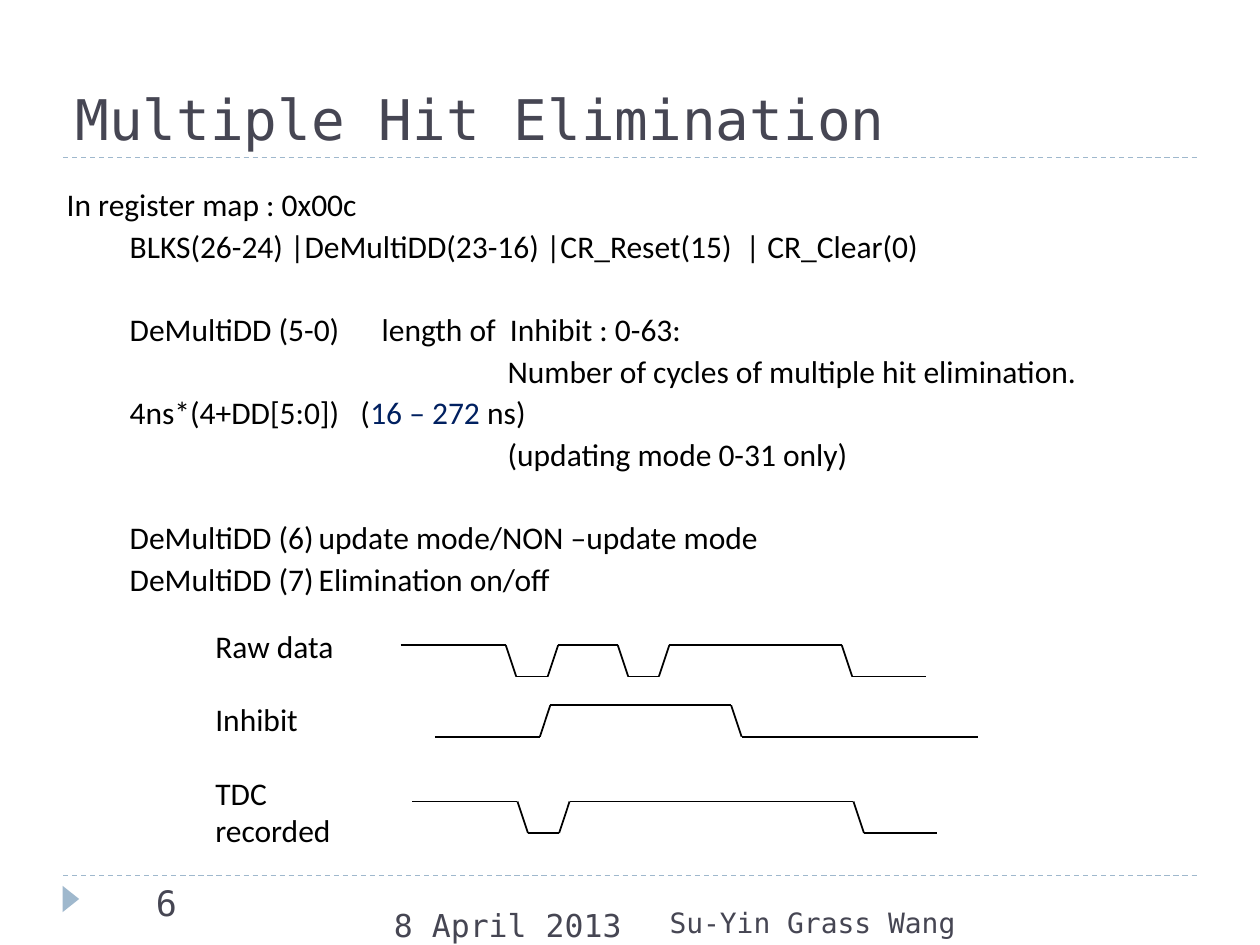
from itertools import pairwise

from lxml import etree
from pptx import Presentation
from pptx.dml.color import RGBColor
from pptx.enum.dml import MSO_LINE
from pptx.enum.shapes import MSO_CONNECTOR, MSO_SHAPE
from pptx.enum.text import MSO_ANCHOR, PP_ALIGN
from pptx.oxml.ns import qn
from pptx.util import Pt

STRAIGHT = MSO_CONNECTOR.STRAIGHT
TRIANGLE = MSO_SHAPE.ISOSCELES_TRIANGLE
DASH = MSO_LINE.DASH
TOP, BOTTOM = MSO_ANCHOR.TOP, MSO_ANCHOR.BOTTOM
LEFT, RIGHT = PP_ALIGN.LEFT, PP_ALIGN.RIGHT

COLORS = {"heading": "464653", "accent": "9FB8CD", "text": "000000", "range": "002060"}
BODY_FONT, HEADING_FONT = "Calibri", "DejaVu Sans Mono"
BODY_SIZE = 18
BLANK_LAYOUT = 6

# Indent, space before, and spans of text with their colours
REGISTER_LINES = [
    (0, 0, [("In register map : 0x00c", "text")]),
    (36, 0, [("BLKS(26-24) |DeMultiDD(23-16) |CR_Reset(15)  | CR_Clear(0)", "text")]),
    (36, 24, [("DeMultiDD (5-0)\tlength of  Inhibit : 0-63:", "text")]),
    (252, 0, [("Number of cycles of multiple hit elimination.", "text")]),
    (36, 0, [("4ns*(4+DD[5:0])   (", "text"), ("16 – 272 ", "range"), ("ns)", "text")]),
    (252, 0, [("(updating mode 0-31 only)", "text")]),
    (36, 24, [("DeMultiDD (6)\tupdate mode/NON –update mode", "text")]),
    (36, 0, [("DeMultiDD (7)\tElimination on/off", "text")]),
]

# Label, label height, wave top, left, right, starts high, where each edge begins
SIGNALS = [
    ("Raw data", 29, 368.6, 229, 529, True, [289, 313, 353, 376.5, 481]),
    ("Inhibit", 29, 403, 248.5, 558.7, False, [308.5, 417.8]),
    ("TDC recorded", 51, 458, 235.5, 535.7, True, [295.7, 319.5, 487.7]),
]
LABEL_TOP, LABEL_STEP = 355, 41.75
PULSE_HEIGHT, EDGE_WIDTH = 18, 6


class SlideBuilder:
    def __init__(self, page):
        self.page = page

    def color(self, name):
        return RGBColor.from_string(COLORS[name])

    def style(self, span, font, size, color):
        span.font.name = font
        span.font.size = Pt(size)
        span.font.color.rgb = self.color(color)

    def box(self, left, top, width, height, anchor=TOP):
        box = self.page.shapes.add_textbox(Pt(left), Pt(top), Pt(width), Pt(height))
        box.text_frame.word_wrap = True
        box.text_frame.vertical_anchor = anchor
        return box.text_frame

    def text(self, words, left, top, width, height, size=BODY_SIZE, font=HEADING_FONT,
             color="heading", align=LEFT, anchor=TOP):
        frame = self.box(left, top, width, height, anchor)
        frame.text = words
        para = frame.paragraphs[0]
        para.alignment = align
        self.style(para.runs[0], font, size, color)

    def lines_of_text(self, lines, left, top, width, height):
        frame = self.box(left, top, width, height)
        for number, (indent, gap, spans) in enumerate(lines):
            para = frame.add_paragraph() if number else frame.paragraphs[0]
            para.line_spacing = 1.1
            para.space_before = Pt(gap)
            properties = para._p.get_or_add_pPr()
            properties.set("marL", str(Pt(indent)))
            properties.set("indent", "0")
            for words, color in spans:
                span = para.add_run()
                span.text = words
                self.style(span, BODY_FONT, BODY_SIZE, color)

    def line(self, start, end, color="text", width=1, dash=None):
        line = self.page.shapes.add_connector(STRAIGHT, *map(Pt, (*start, *end)))
        line.line.color.rgb = self.color(color)
        line.line.width = Pt(width)
        if dash:
            line.line.dash_style = dash
        etree.SubElement(line._element.spPr, qn("a:effectLst"))

    def triangle(self, left, top, width, height, rotation):
        shape = self.page.shapes.add_shape(TRIANGLE, Pt(left), Pt(top), Pt(width), Pt(height))
        shape.rotation = rotation
        shape.shadow.inherit = False
        shape.fill.solid()
        shape.fill.fore_color.rgb = self.color("accent")
        shape.line.fill.background()

    def wave(self, top, left, right, high, edges):
        """Draw a digital signal that changes level at each edge."""
        levels = [top + PULSE_HEIGHT, top]
        points = [(left, levels[high])]
        for edge in edges:
            points.append((edge, levels[high]))
            high = not high
            points.append((edge + EDGE_WIDTH, levels[high]))
        points.append((right, levels[high]))
        for start, end in pairwise(points):
            self.line(start, end)


def main():
    deck = Presentation()
    deck.slide_width, deck.slide_height = Pt(720), Pt(540)
    builder = SlideBuilder(deck.slides.add_slide(deck.slide_layouts[BLANK_LAYOUT]))

    for height in (500.4, 90):
        builder.line((36, height), (684, height), "accent", 0.75, DASH)
    builder.triangle(33, 509, 15, 9.4, 90)

    builder.text("Multiple Hit Elimination", 36, 18, 648, 72, 32, anchor=BOTTOM)
    builder.text("8 April 2013", 218, 514, 153.5, 39.6, 18)
    builder.text("Su-Yin Grass Wang", 371.5, 514, 181.5, 26, 16, align=RIGHT)
    builder.text("6", 82, 500.4, 57, 39.6, 20)

    builder.lines_of_text(REGISTER_LINES, 31, 100, 666, 269)
    for row, (label, height, *wave) in enumerate(SIGNALS):
        builder.text(label, 116, LABEL_TOP + row * LABEL_STEP, 96.5, height,
                     font=BODY_FONT, color="text")
        builder.wave(*wave)

    deck.save("out.pptx")


if __name__ == "__main__":
    main()
